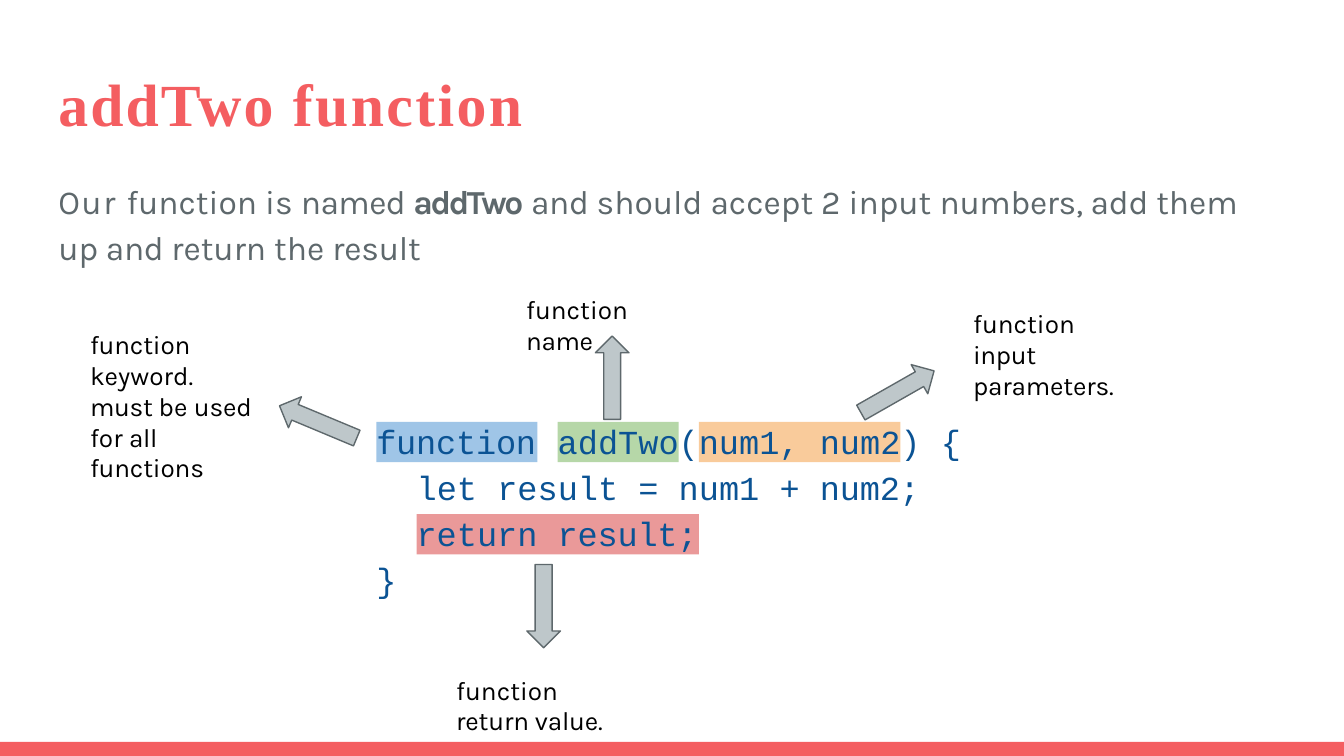
from math import hypot

from pptx import Presentation
from pptx import util as u
from pptx.dml.color import RGBColor
from pptx.enum import shapes, text

CORAL = RGBColor(0xF4, 0x5E, 0x61)
SLATE = RGBColor(0x5E, 0x68, 0x6C)
SILVER = RGBColor(0xBE, 0xC7, 0xCA)
NAVY = RGBColor(0x0B, 0x53, 0x94)
BLACK = RGBColor(0, 0, 0)
GREEN = RGBColor(0xB6, 0xD7, 0xA8)
ORANGE = RGBColor(0xF9, 0xCB, 0x9B)
BLUE = RGBColor(0x9F, 0xC5, 0xE7)
ROSE = RGBColor(0xEA, 0x99, 0x99)

# The slide is a grid of 100 columns by 56.25 rows, each unit 0.1 inch
COLUMNS, ROWS = 100, 56.25
# Code is set on its own grid: one character wide, one line high
CHAR, LINE = 1.5, 3.43

TITLE = {"size": u.Pt(32), "name": "Times New Roman", "bold": True, "color": CORAL}
BODY = {"size": u.Pt(18), "name": "Karla", "color": SLATE}
CODE = {"size": u.Pt(18), "name": "Courier New", "color": NAVY}
CAPTION = {"size": u.Pt(14), "name": "Karla", "color": BLACK}


def grid(units):
    return u.Inches(units / 10)


def move(shape, box):
    for side, units in zip(("left", "top", "width", "height"), box):
        setattr(shape, side, grid(units))


def write(shape, spans, look, spacing=1.0, wrap=True):
    """Fill a shape with one paragraph of (words, tracking, bold) spans."""
    frame = shape.text_frame
    layout = {"margin_left": 0, "margin_right": 0, "margin_bottom": 0,
              "margin_top": u.Inches(0.01), "word_wrap": wrap,
              "auto_size": text.MSO_AUTO_SIZE.NONE,
              "vertical_anchor": text.MSO_ANCHOR.TOP}
    for name, value in layout.items():
        setattr(frame, name, value)
    para = frame.paragraphs[0]
    para.alignment = text.PP_ALIGN.LEFT
    para.line_spacing = spacing
    for words, tracking, *bold in spans:
        span = para.add_run()
        span.text = words
        for name, value in look.items():
            if name == "color":
                span.font.color.rgb = value
            else:
                setattr(span.font, name, value)
        if bold:
            span.font.bold = True
        span.font._element.set("spc", str(round(tracking * 100)))


def add_text(page, box, spans, look, spacing=1.0, wrap=True):
    shape = page.shapes.add_textbox(*map(grid, box))
    write(shape, spans, look, spacing, wrap)


def add_block(page, box, color):
    block = page.shapes.add_shape(shapes.MSO_SHAPE.RECTANGLE, *map(grid, box))
    block.shadow.inherit = False
    block.fill.solid()
    block.fill.fore_color.rgb = color
    block.line.fill.background()
    return block


def add_arrow(page, tail, tip):
    """Block arrow whose outline is worked out from its two ends."""
    length = hypot(tip[0] - tail[0], tip[1] - tail[1])
    dx, dy = (tip[0] - tail[0]) / length, (tip[1] - tail[1]) / length
    neck, shaft, head = length - 1.25, 0.63, 1.25
    outline = [(0, shaft), (0, -shaft), (neck, -shaft), (neck, -head),
               (length, 0), (neck, head), (neck, shaft)]
    points = [(grid(tail[0] + along * dx - across * dy),
               grid(tail[1] + along * dy + across * dx))
              for along, across in outline]
    builder = page.shapes.build_freeform(*points[0])
    builder.add_line_segments(points[1:], close=True)
    arrow = builder.convert_to_shape()
    arrow.shadow.inherit = False
    arrow.fill.solid()
    arrow.fill.fore_color.rgb = SILVER
    arrow.line.color.rgb = SLATE
    arrow.line.width = u.Pt(0.75)


def add_heading(page, box):
    left, top, width, height = box
    title = page.shapes.title
    move(title, (left, top, 0.84 * width, 5.6))
    write(title, [("addTwo ", 1.1), ("function", 1.3)], TITLE)
    spans = [("Our ", 0.8), ("function is ", 0), ("named ", -0.3),
             ("addTwo", -1.3, True), (" and ", -0.2),
             ("should accept 2 input ", 0), ("numbers, ", -0.2),
             ("add ", -0.1), ("them ", 0), ("up ", -0.1), ("and ", -0.2),
             ("return the ", 0), ("result", -0.1)]
    add_text(page, (left, top + 8, width, height - 8), spans, BODY, 1.15)


def add_code(page, left, top):
    def cells(column, row, count, drop=0.0, height=3.3):
        return (left + column * CHAR, top + row * LINE + drop,
                count * CHAR, height)

    # Highlights: column, row, characters, colour, words on them
    marks = [(9, 0, 6, GREEN, ()), (16, 0, 10, ORANGE, ()),
             (0, 0, 8, BLUE, [("function", -0.1)]),
             (2, 2, 14, ROSE, [("return ", 0), ("result;", -0.1)])]
    for column, row, count, color, spans in marks:
        block = add_block(page, cells(column, row, count, 0.2, 3), color)
        if spans:
            write(block, spans, CODE, u.Pt(20.9), wrap=False)
            block.text_frame.margin_top = 0

    # Plain code: column, row, characters, words
    lines = [(9, 0, 20, [("addTwo(num1, num2) ", 0), ("{", -0.5)]),
             (2, 1, 25, [("let result = num1 + ", 0), ("num2;", -0.1)]),
             (0, 3, 2, [("}", -0.5)])]
    for column, row, count, spans in lines:
        add_text(page, cells(column, row, count), spans, CODE, wrap=False)


def add_callouts(page):
    # Caption box, its words, arrow tail and arrow tip
    callouts = [
        ((6.7, 24.4, 12.7, 11),
         [("function ", -0.1), ("keyword. ", 0), ("must ", -0.2), ("be ", 0),
          ("used ", -0.1), ("for ", 0), ("all ", -0.2), ("functions", -0.1)],
         (26.55, 32.6), (20.8, 30.2)),
        ((39.15, 21.8, 12, 5), [("function ", 0), ("name", -0.2)],
         (45.55, 31.2), (45.55, 25)),
        ((72.4, 22.85, 12.1, 7.2),
         [("function ", 0), ("input ", -0.2), ("parameters.", -0.1)],
         (64.05, 30.7), (69.5, 27.6)),
        ((33.95, 50.1, 12, 5), [("function ", 0), ("return value.", -0.1)],
         (40.45, 42), (40.45, 48.2)),
    ]
    for box, spans, tail, tip in callouts:
        add_text(page, box, spans, CAPTION, u.Pt(16.5))
        add_arrow(page, tail, tip)


def main():
    deck = Presentation()
    deck.slide_width, deck.slide_height = grid(COLUMNS), grid(ROWS)
    page = deck.slides.add_slide(deck.slide_layouts[5])

    add_block(page, (0, ROWS - 1.05, COLUMNS, 1.05), CORAL)  # footer band
    add_heading(page, (4.35, 4.9, 90, 15.2))
    add_code(page, 28, 31.2)
    add_callouts(page)

    deck.save("out.pptx")


if __name__ == "__main__":
    main()
